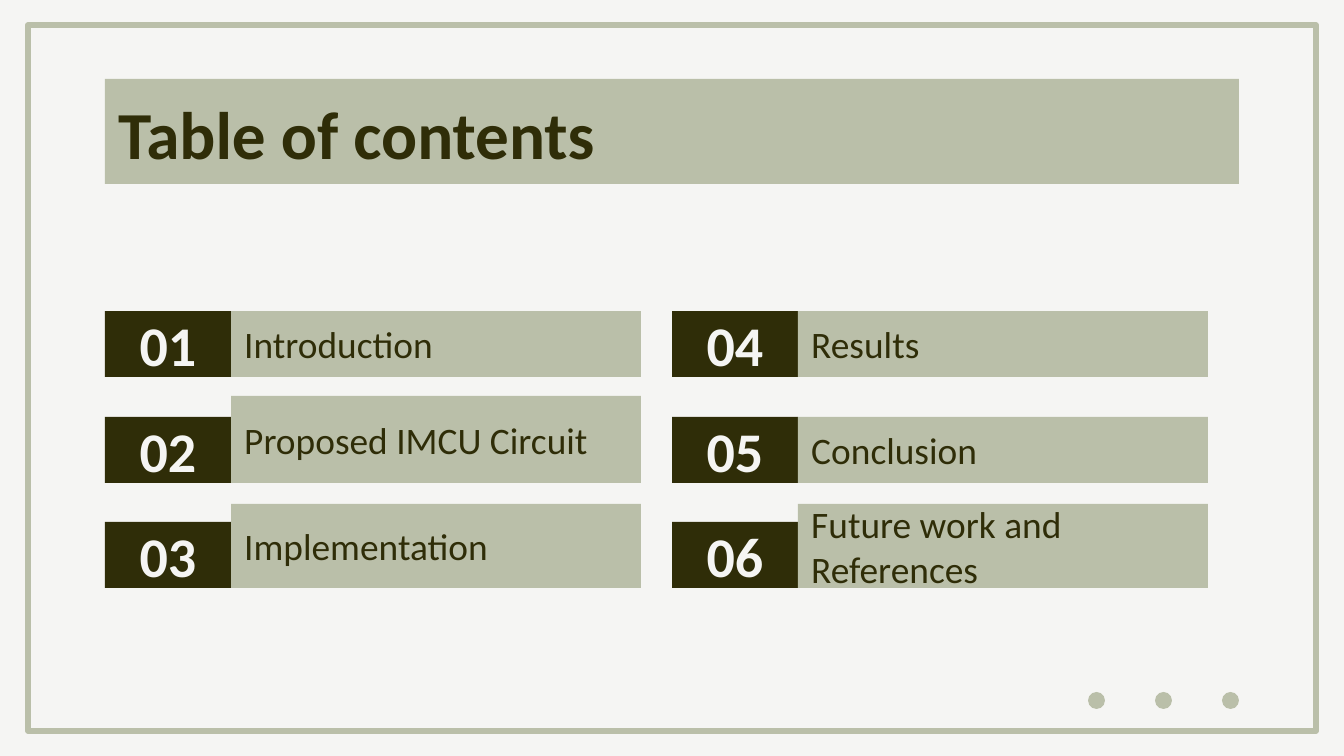
from pptx import Presentation
from pptx.dml.color import RGBColor
from pptx.enum.shapes import MSO_SHAPE
from pptx.enum.text import MSO_ANCHOR, PP_ALIGN
from pptx.util import Emu, Pt

RECTANGLE, OVAL = MSO_SHAPE.RECTANGLE, MSO_SHAPE.OVAL
TOP, MIDDLE = MSO_ANCHOR.TOP, MSO_ANCHOR.MIDDLE
LEFT, CENTER = PP_ALIGN.LEFT, PP_ALIGN.CENTER
SCALE = 914400 / 134.4
SAGE, OLIVE, PAPER = "BABFA9", "2F2D08", "F5F5F3"
COLUMN_LEFTS = (105, 672)
ROW_TOPS = (311, 417, 522)
ROW_HEIGHT, NUMBER_WIDTH, LABEL_WIDTH = 66, 126, 410
ENTRIES = (
    ("Introduction", 66),
    ("Proposed IMCU Circuit", 87),
    ("Implementation", 84),
    ("Results", 66),
    ("Conclusion", 66),
    ("Future work and References", 84),
)


def px(length):
    """Turn pixels into EMU."""
    return Emu(round(length * SCALE))


def color(value):
    """Turn a hex string into a colour."""
    return RGBColor.from_string(value)


def add_block(page, kind, place, fill):
    """Add a filled shape without line or shadow."""
    block = page.shapes.add_shape(kind, *map(px, place))
    block.shadow.inherit = False
    block.fill.solid()
    block.fill.fore_color.rgb = color(fill)
    block.line.fill.background()
    return block


def add_label(page, place, text, fill, ink, size, bold=False, align=LEFT, anchor=MIDDLE):
    """Add a filled rectangle that holds one paragraph."""
    frame = add_block(page, RECTANGLE, place, fill).text_frame
    layout = {"word_wrap": True, "vertical_anchor": anchor}
    layout.update({f"margin_{side}": Pt(7.2) for side in ("left", "top", "right", "bottom")})
    for name, value in layout.items():
        setattr(frame, name, value)
    para = frame.paragraphs[0]
    para.alignment = align
    span = para.add_run()
    span.text = text
    for name, value in {"name": "Calibri", "size": Pt(size), "bold": bold}.items():
        setattr(span.font, name, value)
    span.font.color.rgb = color(ink)


def add_border(page):
    """Add the outline around the page."""
    border = add_block(page, RECTANGLE, (28, 25, 1288, 706), PAPER)
    border.fill.background()
    border.line.color.rgb = color(SAGE)
    border.line.width = Pt(3)


def add_entry(page, index, text, height):
    """Add a numbered entry whose label shares the number's bottom edge."""
    column, row = divmod(index, len(ROW_TOPS))
    left, top = COLUMN_LEFTS[column], ROW_TOPS[row]
    add_label(page, (left, top, NUMBER_WIDTH, ROW_HEIGHT), f"{index + 1:02}",
              OLIVE, PAPER, 30, bold=True, align=CENTER)
    label_top = top + ROW_HEIGHT - height
    add_label(page, (left + NUMBER_WIDTH, label_top, LABEL_WIDTH, height), text,
              SAGE, OLIVE, 20)


def main():
    """Build the contents slide and save it."""
    deck = Presentation()
    deck.slide_width, deck.slide_height = px(1344), px(756)
    page = deck.slides.add_slide(deck.slide_layouts[6])
    page.background.fill.solid()
    page.background.fill.fore_color.rgb = color(PAPER)
    add_border(page)
    for step in range(3):
        add_block(page, OVAL, (1088 + 67 * step, 692, 17, 17), SAGE)
    add_label(page, (105, 79, 1134, 105), "Table of contents",
              SAGE, OLIVE, 36, bold=True, anchor=TOP)
    for index, (text, height) in enumerate(ENTRIES):
        add_entry(page, index, text, height)
    deck.save("out.pptx")


if __name__ == "__main__":
    main()
